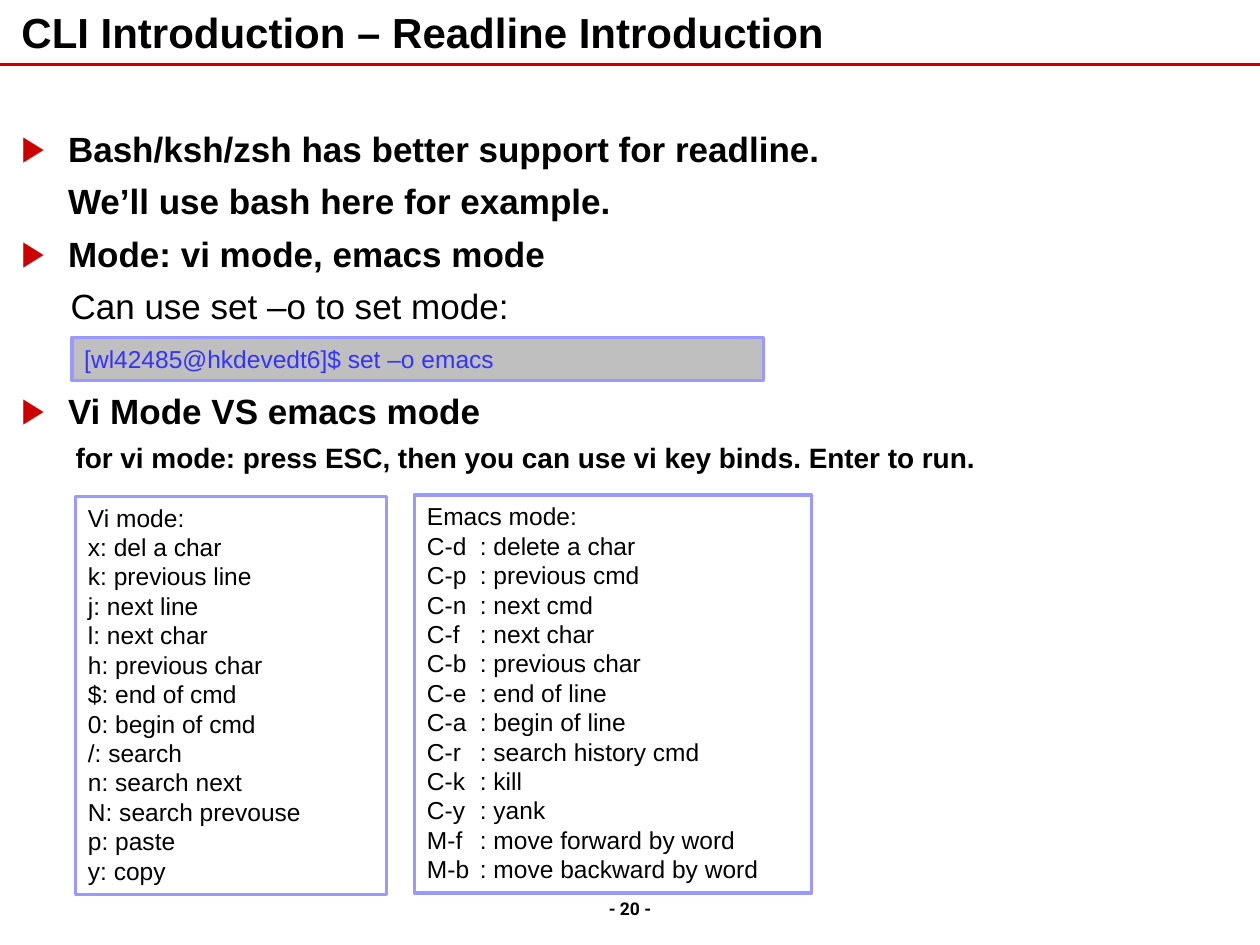
from pptx import Presentation
from pptx.dml.color import RGBColor
from pptx.enum import shapes, text
from pptx.oxml.xmlchemy import OxmlElement
from pptx.util import Inches, Pt

COLORS = {"rule": "CC0000", "ink": "000000", "border": "9999FF",
          "command": "3333FF", "shade": "BFBFBF"}
LINE_HEIGHT = 1.2  # line pitch as a multiple of the text size

# Text, left indent in inches, and format; space is in points
BODY = [
    ("Bash/ksh/zsh has better support for readline.", 0.37, {"bullet": True, "space": 0}),
    ("We’ll use bash here for example.", 0.37, {}),
    ("Mode: vi mode, emacs mode", 0.37, {"bullet": True}),
    ("Can use set –o to set mode:", 0.39, {"bold": False, "level": 1}),
    ("Vi Mode VS emacs mode", 0.37, {"bullet": True, "space": 36}),
    ("for vi mode: press ESC, then you can use vi key binds. Enter to run.", 0.43,
     {"size": 16, "space": 4.8}),
]
COMMAND = ["[wl42485@hkdevedt6]$ set –o emacs"]
VI_KEYS = ["Vi mode:", "x: del a char", "k: previous line", "j: next line",
           "l: next char", "h: previous char", "$: end of cmd", "0: begin of cmd",
           "/: search", "n: search next", "N: search prevouse", "p: paste", "y: copy"]
EMACS_KEYS = [("C-d", "delete a char"), ("C-p", "previous cmd"), ("C-n", "next cmd"),
              ("C-f", "next char"), ("C-b", "previous char"), ("C-e", "end of line"),
              ("C-a", "begin of line"), ("C-r", "search history cmd"), ("C-k", "kill"),
              ("C-y", "yank"), ("M-f", "move forward by word"),
              ("M-b", "move backward by word")]


def rgb(name):
    return RGBColor.from_string(COLORS[name])


def style_font(font, size, color="ink", bold=False, name="Arial"):
    for key, value in {"size": Pt(size), "bold": bold, "name": name}.items():
        setattr(font, key, value)
    font.color.rgb = rgb(color)


def prepare_frame(frame, margin_x=0.1, margin_y=0.05, anchor=text.MSO_ANCHOR.TOP):
    settings = {"margin_left": Inches(margin_x), "margin_right": Inches(margin_x),
                "margin_top": Inches(margin_y), "margin_bottom": Inches(margin_y),
                "word_wrap": True, "auto_size": text.MSO_AUTO_SIZE.NONE,
                "vertical_anchor": anchor}
    for key, value in settings.items():
        setattr(frame, key, value)


def add_child(parent, tag, **attributes):
    child = OxmlElement(tag)
    for key, value in attributes.items():
        child.set(key, str(value))
    parent.append(child)
    return child


def add_paragraph(frame, index, content):
    paragraph = frame.paragraphs[0] if index == 0 else frame.add_paragraph()
    paragraph.text = content
    return paragraph


def add_title(slide, content):
    title = slide.shapes.title
    title.left, title.top, title.width, title.height = map(Inches, (0.17, 0.08, 9.67, 0.37))
    prepare_frame(title.text_frame, 0, 0, text.MSO_ANCHOR.BOTTOM)
    heading = add_paragraph(title.text_frame, 0, content)
    heading.alignment = text.PP_ALIGN.LEFT
    style_font(heading.font, 24, bold=True)


def add_rule(slide):
    rule = slide.shapes.add_connector(shapes.MSO_CONNECTOR.STRAIGHT, Inches(-0.02),
                                      Inches(0.51), Inches(10), Inches(0.51))
    rule.line.color.rgb = rgb("rule")
    rule.line.width = Pt(1.5)
    add_child(rule._element.spPr, "a:effectLst")


def add_body(slide):
    body = slide.shapes.add_textbox(*map(Inches, (0.17, 1.01, 9.67, 6.07)))
    prepare_frame(body.text_frame, 0, 0)
    for index, (content, indent, form) in enumerate(BODY):
        point = add_paragraph(body.text_frame, index, content)
        size = form.get("size", 20)
        point.level = form.get("level", 0)
        point.line_spacing = Pt(size * LINE_HEIGHT)
        point.space_before = Pt(form.get("space", 6))
        properties = point._p.get_or_add_pPr()
        properties.set("marL", str(Inches(indent)))
        properties.set("indent", str(-Inches(indent) if form.get("bullet") else 0))
        if form.get("bullet"):
            color = add_child(properties, "a:buClr")
            add_child(color, "a:srgbClr", val=COLORS["rule"])
            add_child(properties, "a:buFont", typeface="Arial")
            add_child(properties, "a:buChar", char="▶")
        style_font(point.font, size, bold=form.get("bold", True))


def add_panel(slide, place, lines, color="ink", fill=None, tab=None):
    panel = slide.shapes.add_shape(shapes.MSO_SHAPE.RECTANGLE, *map(Inches, place))
    panel.shadow.inherit = False
    if fill:
        panel.fill.solid()
        panel.fill.fore_color.rgb = rgb(fill)
    else:
        panel.fill.background()
    panel.line.color.rgb = rgb("border")
    panel.line.width = Pt(2)
    prepare_frame(panel.text_frame)
    for index, content in enumerate(lines):
        entry = add_paragraph(panel.text_frame, index, content)
        entry.alignment = text.PP_ALIGN.LEFT
        entry.line_spacing = Pt(14 * LINE_HEIGHT)
        if tab:
            stops = add_child(entry._p.get_or_add_pPr(), "a:tabLst")
            add_child(stops, "a:tab", pos=Inches(tab), algn="l")
        style_font(entry.font, 14, color)


def add_page_number(slide, content):
    box = slide.shapes.add_textbox(*map(Inches, (3.96, 7.08, 2.08, 0.27)))
    prepare_frame(box.text_frame)
    number = add_paragraph(box.text_frame, 0, content)
    number.alignment = text.PP_ALIGN.CENTER
    style_font(number.font, 10, bold=True, name="Roboto")


def main():
    deck = Presentation()
    deck.slide_width, deck.slide_height = Inches(10), Inches(7.5)
    slide = deck.slides.add_slide(deck.slide_layouts[5])

    # Heading and points
    add_rule(slide)
    add_title(slide, "CLI Introduction – Readline Introduction")
    add_body(slide)
    add_page_number(slide, "- 20 -")

    # Command line and the two key lists
    add_panel(slide, (0.57, 2.68, 5.49, 0.34), COMMAND, "command", "shade")
    add_panel(slide, (0.6, 3.94, 2.47, 3.16), VI_KEYS)
    emacs_lines = ["Emacs mode:"] + [f"{key}\t: {action}" for key, action in EMACS_KEYS]
    add_panel(slide, (3.29, 3.93, 3.15, 3.16), emacs_lines, tab=0.42)

    deck.save("out.pptx")


if __name__ == "__main__":
    main()
